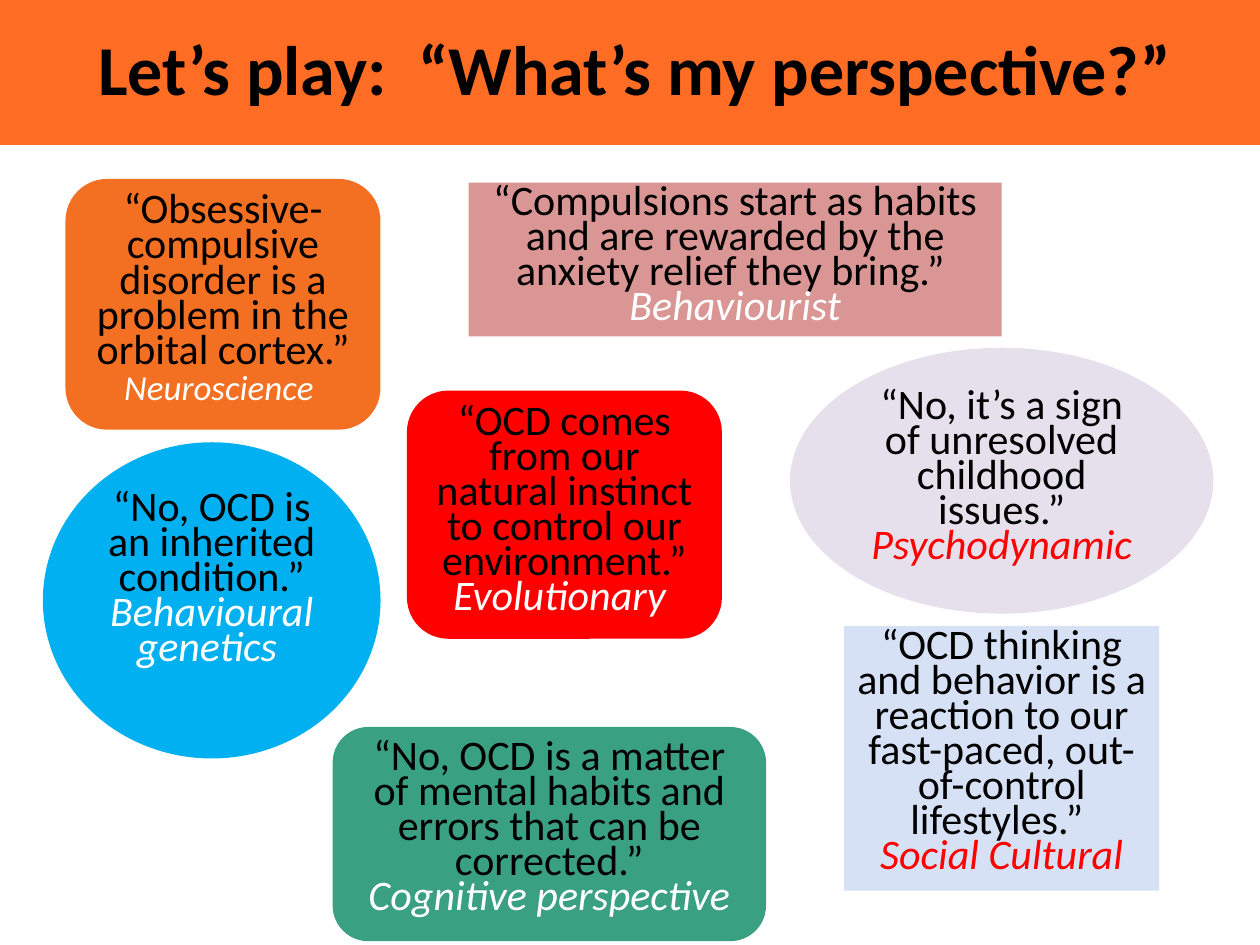
from dataclasses import dataclass

from pptx import Presentation
from pptx.dml.color import RGBColor
from pptx.enum.shapes import MSO_SHAPE
from pptx.enum.text import MSO_ANCHOR, PP_ALIGN
from pptx.util import Inches, Pt

RECTANGLE = MSO_SHAPE.RECTANGLE
ROUNDED = MSO_SHAPE.ROUNDED_RECTANGLE
OVAL = MSO_SHAPE.OVAL
TOP = MSO_ANCHOR.TOP
MIDDLE = MSO_ANCHOR.MIDDLE
CENTER = PP_ALIGN.CENTER


@dataclass(frozen=True)
class Theme:
    font: str = "Calibri"
    banner: str = "FF6C24"
    black: str = "000000"
    white: str = "FFFFFF"
    red: str = "FF0000"
    orange: str = "F36F21"
    lavender: str = "E6E0EC"
    blue: str = "00B0F0"
    rose: str = "D99694"
    pale_blue: str = "D7E1F5"
    green: str = "3AA082"
    title: int = 40
    title_line: int = 42
    quote: int = 24
    small_answer: int = 20
    quote_line: int = 20


theme = Theme()


def add_panel(page, kind, bounds, color, anchor):
    panel = page.shapes.add_shape(kind, *[Inches(value) for value in bounds])
    panel.shadow.inherit = False
    panel.fill.solid()
    panel.fill.fore_color.rgb = RGBColor.from_string(color)
    panel.line.fill.background()
    frame = panel.text_frame
    frame.word_wrap = True
    frame.vertical_anchor = anchor
    return frame


def write_paragraph(para, text, line_height, color, **style):
    para.alignment = CENTER
    para.line_spacing = Pt(line_height)
    span = para.add_run()
    span.text = text
    span.font.color.rgb = RGBColor.from_string(color)
    for name, value in {"name": theme.font, **style}.items():
        setattr(span.font, name, value)


deck = Presentation()
deck.slide_width = Inches(10)
deck.slide_height = Inches(7.5)
page = deck.slides.add_slide(deck.slide_layouts[6])

banner = add_panel(page, RECTANGLE, (0, 0, 10, 1.15), theme.banner, MIDDLE)
banner.margin_left = Inches(0.3)
write_paragraph(banner.paragraphs[0], "Let’s play:  “What’s my perspective?” ",
                theme.title_line, theme.black, size=Pt(theme.title), bold=True)

cards = [
    (ROUNDED, (0.52, 1.42, 2.5, 1.99), theme.orange,
     "“Obsessive-compulsive disorder is a problem in the orbital cortex.”",
     "Neuroscience ", theme.white, theme.small_answer),
    (OVAL, (6.27, 2.76, 3.36, 2.11), theme.lavender,
     "“No, it’s a sign of unresolved childhood issues.”",
     "Psychodynamic", theme.red, theme.quote),
    (OVAL, (0.34, 3.51, 2.68, 2.51), theme.blue,
     "“No, OCD is an inherited condition.”",
     "Behavioural genetics ", theme.white, theme.quote),
    (RECTANGLE, (3.72, 1.45, 4.23, 1.22), theme.rose,
     "“Compulsions start as habits and are rewarded by the anxiety relief they bring.” ",
     "Behaviourist", theme.white, theme.quote),
    (ROUNDED, (3.23, 3.1, 2.5, 1.97), theme.red,
     "“OCD comes from our natural instinct to control our environment.”",
     "Evolutionary ", theme.white, theme.quote),
    (RECTANGLE, (6.7, 4.97, 2.5, 2.1), theme.pale_blue,
     "“OCD thinking and behavior is a reaction to our fast-paced, out-of-control lifestyles.” ",
     "Social Cultural", theme.red, theme.quote),
    (ROUNDED, (2.64, 5.77, 3.44, 1.7), theme.green,
     "“No, OCD is a matter of mental habits and errors that can be corrected.”",
     "Cognitive perspective", theme.white, theme.quote),
]

for kind, bounds, fill, quote, answer, answer_color, answer_size in cards:
    card = add_panel(page, kind, bounds, fill, TOP)
    write_paragraph(card.paragraphs[0], quote, theme.quote_line, theme.black,
                    size=Pt(theme.quote))
    write_paragraph(card.add_paragraph(), answer, theme.quote_line, answer_color,
                    size=Pt(answer_size), italic=True)

deck.save("out.pptx")
